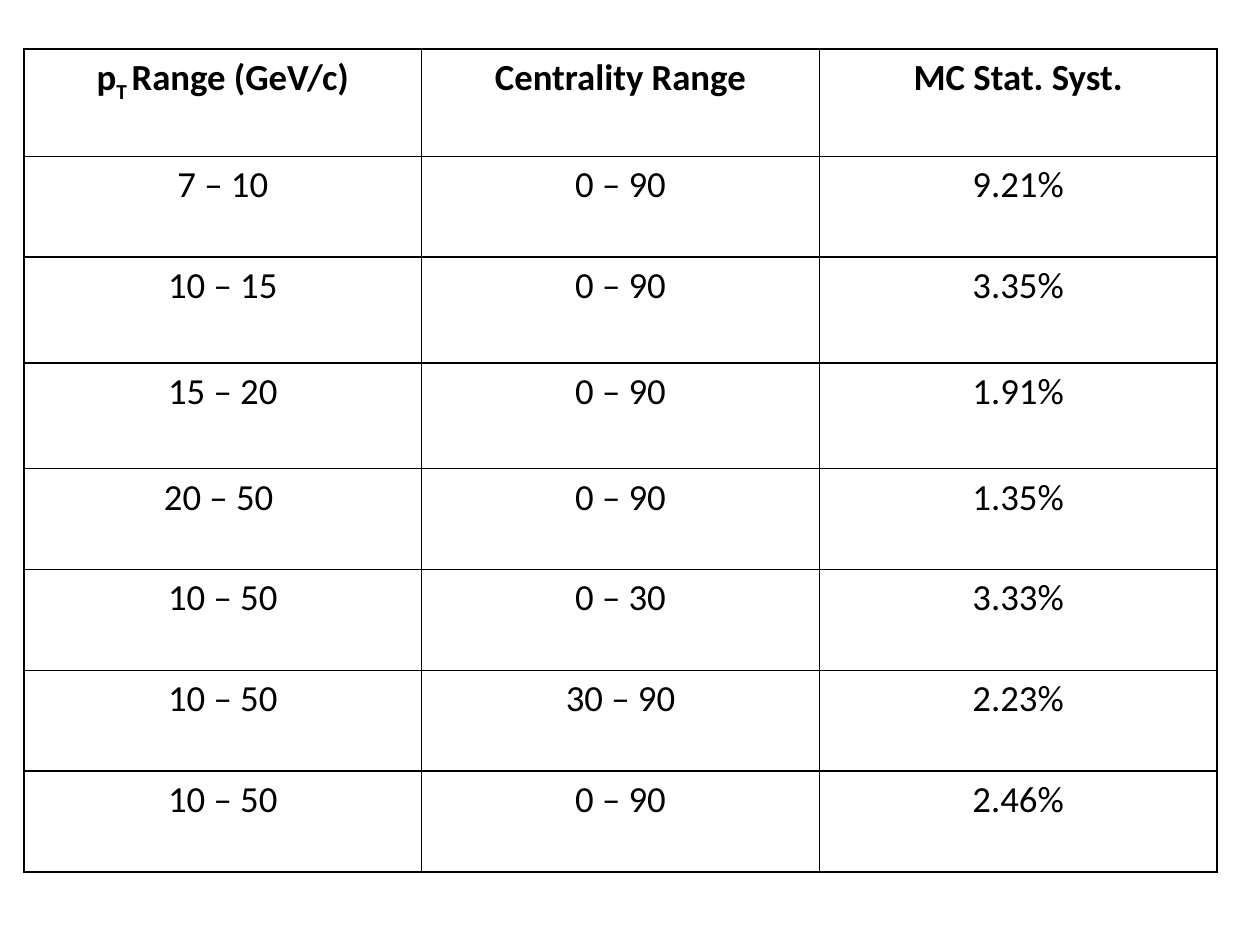
from pptx import Presentation
from pptx.dml.color import RGBColor as Rgb
from pptx.enum.text import PP_ALIGN as Align
from pptx.oxml import parse_xml
from pptx.oxml.ns import nsdecls
from pptx.util import Inches, Pt

ROWS = [
    ([("p", 0), ("T ", -25), ("Range (GeV/c)", 0)], "Centrality Range", "MC Stat. Syst."),
    ("7 – 10", "0 – 90", "9.21%"),
    ("10 – 15", "0 – 90", "3.35%"),
    ("15 – 20", "0 – 90", "1.91%"),
    ("20 – 50 ", "0 – 90", "1.35%"),
    ("10 – 50", "0 – 30", "3.33%"),
    ("10 – 50", "30 – 90", "2.23%"),
    ("10 – 50", "0 – 90", "2.46%"),
]
TALL = {0: 0.85, 2: 0.84, 3: 0.84}


def color(code):
    return Rgb.from_string(code)


def write(para, text, size=21, font="Calibri", ink="000000", bold=False, base=0):
    run = para.add_run()
    run.text = text
    run.font.size = Pt(size)
    run.font.name = font
    run.font.bold = bold
    run.font.color.rgb = color(ink)
    if base:
        run._r.get_or_add_rPr().set("baseline", str(base * 1000))


class Page:
    line = "000000"
    width = 1

    def __init__(self, deck):
        self.deck = deck
        self.slide = deck.slides.add_slide(deck.slide_layouts[6])

    def border(self, cell):
        props = cell._tc.get_or_add_tcPr()
        for at, side in enumerate(("lnL", "lnR", "lnT", "lnB")):
            props.insert(at, parse_xml(
                f'<a:{side} {nsdecls("a")} w="{Pt(self.width)}"><a:solidFill>'
                f'<a:srgbClr val="{self.line}"/></a:solidFill></a:{side}>'))

    def cell(self, cell, text, bold):
        cell.fill.background()
        self.border(cell)
        para = cell.text_frame.paragraphs[0]
        para.alignment = Align.CENTER
        parts = [(text, 0)] if isinstance(text, str) else text
        for part, base in parts:
            write(para, part, bold=bold, base=base)

    def table(self, rows, left, top, wide, tall):
        sizes = [tall.get(row, 0.8) for row in range(len(rows))]
        wide = int(self.deck.slide_width * wide)
        frame = self.slide.shapes.add_table(
            len(rows), len(rows[0]),
            int(self.deck.slide_width * left), int(self.deck.slide_height * top),
            wide, Inches(sum(sizes)))
        grid = frame.table
        grid.first_row = grid.horz_banding = False
        for row, (size, texts) in enumerate(zip(sizes, rows)):
            grid.rows[row].height = Inches(size)
            for col, text in enumerate(texts):
                self.cell(grid.cell(row, col), text, bold=row == 0)


def main():
    deck = Presentation()
    deck.slide_width, deck.slide_height = Inches(10), Inches(7.5)
    page = Page(deck)
    page.table(ROWS, left=0.019, top=0.39 / 7.5, wide=0.947, tall=TALL)
    deck.save("out.pptx")


if __name__ == "__main__":
    main()
